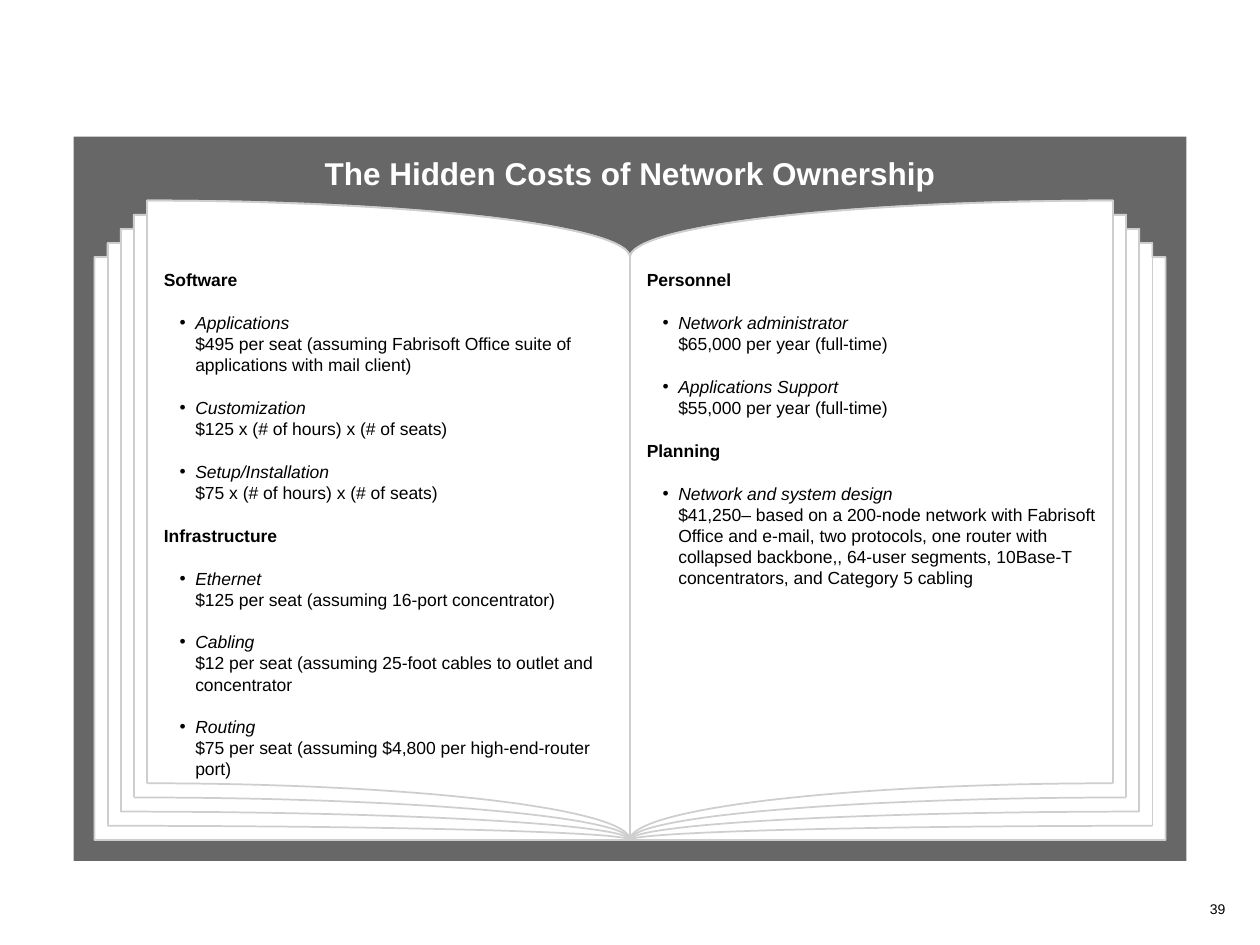
"""Build the open-book slide on the hidden costs of network ownership."""
from copy import deepcopy
from dataclasses import dataclass
from math import cos, pi, sin

from lxml import etree
from pptx import Presentation
from pptx.dml.color import RGBColor
from pptx.enum.shapes import MSO_CONNECTOR, MSO_SHAPE
from pptx.enum.text import MSO_ANCHOR, MSO_AUTO_SIZE, PP_ALIGN
from pptx.oxml.ns import qn
from pptx.util import Pt

RECTANGLE = MSO_SHAPE.RECTANGLE
STRAIGHT = MSO_CONNECTOR.STRAIGHT
CENTER, LEFT = PP_ALIGN.CENTER, PP_ALIGN.LEFT
MIDDLE, TOP = MSO_ANCHOR.MIDDLE, MSO_ANCHOR.TOP
NO_AUTOFIT = MSO_AUTO_SIZE.NONE


@dataclass(frozen=True)
class Theme:
    font: str = "Arial"
    panel: RGBColor = RGBColor(0x67, 0x67, 0x67)
    paper: RGBColor = RGBColor(0xFF, 0xFF, 0xFF)
    paper_edge: RGBColor = RGBColor(0xDA, 0xDA, 0xDA)
    page_line: RGBColor = RGBColor(0xCE, 0xCE, 0xCE)
    ink: RGBColor = RGBColor(0, 0, 0)
    title_size: int = 18
    body_size: int = 10
    number_size: int = 8


theme = Theme()

SPINE, SPINE_TOP, SPINE_BOTTOM = 360, 147, 480
STEP_X, STEP_Y = 7.5, 8.1
EDGES = [276 + STEP_X * layer for layer in range(5)]
RISES = [STEP_Y * (4 - layer) for layer in range(5)]
ARC_STEPS = 32

LEFT_PAGE = [
    ("Software", [
        ("Applications", "$495 per seat (assuming Fabrisoft Office suite of applications with mail client)"),
        ("Customization", "$125 x (# of hours) x (# of seats)"),
        ("Setup/Installation", "$75 x (# of hours) x (# of seats)"),
    ]),
    ("Infrastructure", [
        ("Ethernet", "$125 per seat (assuming 16-port concentrator)"),
        ("Cabling", "$12 per seat (assuming 25-foot cables to outlet and concentrator"),
        ("Routing", "$75 per seat (assuming $4,800 per high-end-router port)"),
    ]),
]
RIGHT_PAGE = [
    ("Personnel", [
        ("Network administrator", "$65,000 per year (full-time)"),
        ("Applications Support", "$55,000 per year (full-time)"),
    ]),
    ("Planning", [
        ("Network and system design",
         "$41,250– based on a 200-node network with Fabrisoft Office and e-mail, two protocols, "
         "one router with collapsed backbone,, 64-user segments, 10Base-T concentrators, "
         "and Category 5 cabling"),
    ]),
]

presentation = Presentation()
presentation.slide_width, presentation.slide_height = Pt(720), Pt(540)
slide = presentation.slides.add_slide(presentation.slide_layouts[3])
shapes = slide.shapes
title, left_body, right_body = slide.placeholders


def draw_outline(points, color, fill=None):
    points = [(Pt(x), Pt(y)) for x, y in points]
    builder = shapes.build_freeform(*points[0], scale=1)
    builder.add_line_segments(points[1:], close=fill is not None)
    shape = builder.convert_to_shape()
    shape.shadow.inherit = False
    shape.line.color.rgb = color
    shape.line.width = Pt(1)
    if fill is None:
        shape.fill.background()
    else:
        shape.fill.solid()
        shape.fill.fore_color.rgb = fill


def format_text(paragraph, size, color, alignment=LEFT, space_before=0):
    paragraph.alignment = alignment
    paragraph.space_before = Pt(space_before)
    for run in paragraph.runs:
        run.font.name = theme.font
        run.font.size = Pt(size)
        run.font.color.rgb = color


panel = shapes.add_shape(RECTANGLE, Pt(42), Pt(78), Pt(636), Pt(414))
panel.shadow.inherit = False
panel.fill.solid()
panel.fill.fore_color.rgb = theme.panel
panel.line.fill.background()

for side in (-1, 1):
    edges = [SPINE + side * edge for edge in EDGES]
    arcs = []
    for edge, rise in zip(EDGES, RISES):
        angles = [pi / 2 * step / ARC_STEPS for step in range(ARC_STEPS + 1)]
        arcs.append([(SPINE + side * edge * (1 - cos(angle)), -rise * sin(angle)) for angle in angles])
    top_arc = [(x, SPINE_TOP + y) for x, y in arcs[0]]

    staircase = []
    for layer in range(1, 5):
        top = SPINE_TOP - RISES[layer]
        staircase += [(edges[layer - 1], top), (edges[layer], top)]
    corners = [(edges[4], SPINE_BOTTOM), (SPINE, SPINE_BOTTOM)]
    draw_outline(top_arc + staircase + corners, theme.paper_edge, theme.paper)

    draw_outline(top_arc, theme.page_line)
    for layer in range(4):
        draw_outline([(x, SPINE_BOTTOM + y) for x, y in arcs[layer]], theme.page_line)
    for layer in range(1, 4):
        top, bottom = SPINE_TOP - RISES[layer], SPINE_BOTTOM - RISES[layer]
        draw_outline([(edges[layer - 1], top), (edges[layer], top), (edges[layer], bottom)], theme.page_line)

draw_outline(
    [(SPINE - EDGES[3], SPINE_TOP), (SPINE - EDGES[4], SPINE_TOP), (SPINE - EDGES[4], SPINE_BOTTOM),
     (SPINE + EDGES[4], SPINE_BOTTOM), (SPINE + EDGES[4], SPINE_TOP), (SPINE + EDGES[3], SPINE_TOP)],
    theme.page_line)

upright_lines = [(SPINE, 0), (SPINE - EDGES[0], RISES[0]), (SPINE + EDGES[0], RISES[0])]
for x, rise in upright_lines:
    line = shapes.add_connector(STRAIGHT, Pt(x), Pt(SPINE_TOP - rise), Pt(x), Pt(SPINE_BOTTOM - rise))
    line.line.color.rgb = theme.page_line
    line.line.width = Pt(1)
    etree.SubElement(line._element.spPr, qn("a:effectLst"))

number = shapes.add_textbox(Pt(684), Pt(511.2), Pt(23.76), Pt(16.56))
number.text_frame.text = "39"
format_text(number.text_frame.paragraphs[0], theme.number_size, theme.ink, CENTER)

title.text_frame.text = "The Hidden Costs of Network Ownership"
format_text(title.text_frame.paragraphs[0], theme.title_size, theme.paper, CENTER)
title.text_frame.paragraphs[0].runs[0].font.bold = True

frames = [
    (title, 42, 78, 636, 42, 0, MIDDLE),
    (left_body, 90, 150, 264, 294, 3.6, TOP),
    (right_body, 366, 150, 264, 294, 3.6, TOP),
    (number, 684, 511.2, 23.76, 16.56, 3.6, TOP),
]
for shape, left, top, width, height, margin, anchor in frames:
    shape.left, shape.top, shape.width, shape.height = Pt(left), Pt(top), Pt(width), Pt(height)
    frame = shape.text_frame
    frame.auto_size = NO_AUTOFIT
    frame.word_wrap = True
    frame.vertical_anchor = anchor
    frame.margin_left = frame.margin_right = frame.margin_top = frame.margin_bottom = Pt(margin)
    shapes._spTree.append(shape._element)

for body, sections in ((left_body, LEFT_PAGE), (right_body, RIGHT_PAGE)):
    entries = []
    for heading, items in sections:
        entries += [(heading, None)] + items
    frame = body.text_frame
    for index, (label, detail) in enumerate(entries):
        paragraph = frame.add_paragraph() if index else frame.paragraphs[0]
        paragraph.text = f"{label}\v{detail}" if detail else label
        format_text(paragraph, theme.body_size, theme.ink, space_before=12.5)
        properties = paragraph._p.get_or_add_pPr()
        label_run = paragraph.runs[0]
        if detail:
            paragraph.level = 1
            properties.set("marL", str(Pt(18)))
            properties.set("indent", str(Pt(-9)))
            bullet_color = etree.SubElement(properties, qn("a:buClr"))
            etree.SubElement(bullet_color, qn("a:srgbClr"), val=str(theme.ink))
            etree.SubElement(properties, qn("a:buFont"), typeface=theme.font)
            etree.SubElement(properties, qn("a:buChar"), char="•")
            label_run.font.italic = True
            paragraph._p.find(qn("a:br")).append(deepcopy(label_run._r.rPr))
        else:
            properties.set("marL", "0")
            properties.set("indent", "0")
            etree.SubElement(properties, qn("a:buNone"))
            label_run.font.bold = True

presentation.save("out.pptx")
